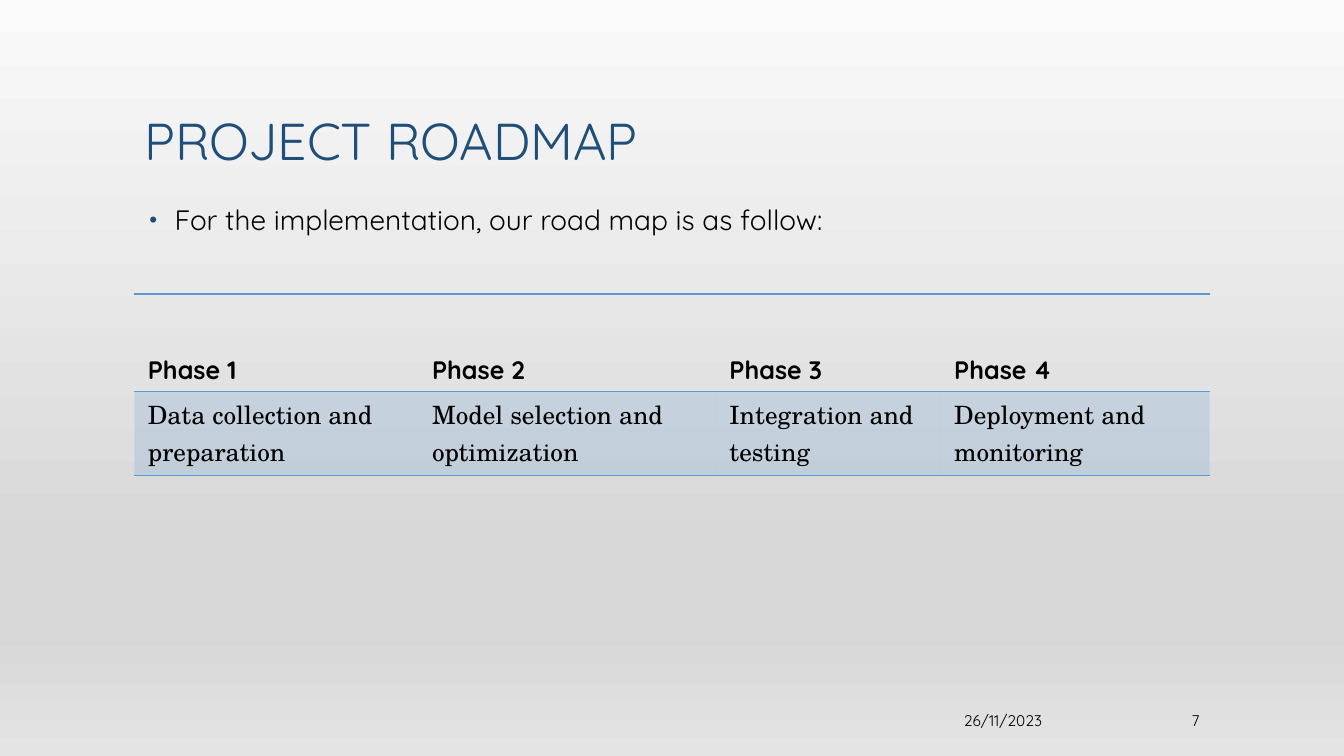
from lxml.etree import SubElement
from pptx import Presentation
from pptx.dml.color import RGBColor
from pptx.enum.text import MSO_ANCHOR, PP_ALIGN
from pptx.oxml.ns import qn
from pptx.util import Pt

NAVY, BLUE, BLACK = "1F4E79", "5B9BD5", "000000"
LEFT, WIDTH = 96, 768
PHASES = [
    ("Phase 1", "Data collection and preparation", 203),
    ("Phase 2", "Model selection and optimization", 212.5),
    ("Phase 3", "Integration and testing", 160.5),
    ("Phase 4", "Deployment and monitoring", 192),
]


def color(value):
    return RGBColor.from_string(value)


def add_color(parent, value):
    return SubElement(parent, qn("a:srgbClr"), val=str(color(value)))


class RoadmapSlide:
    """Holds the type style and the current slide, and draws its elements."""

    heading_font = "Quicksand"
    detail_font = "TeX Gyre Schola"

    def __init__(self, presentation):
        self.slide = presentation.slides.add_slide(presentation.slide_layouts[6])

    def background(self, stops):
        fill = self.slide.background.fill
        fill.gradient()
        fill.gradient_angle = 270
        stop_list = next(self.slide.element.iter(qn("a:gsLst")))
        for stop in list(stop_list):
            stop_list.remove(stop)
        for percent, value in stops:
            add_color(SubElement(stop_list, qn("a:gs"), pos=str(percent * 1000)), value)

    def fill_text(self, frame, text, size, value=BLACK, font=None, bold=False):
        frame.text = text
        frame.word_wrap = True
        paragraph = frame.paragraphs[0]
        style = paragraph.runs[0].font
        style.name = font or self.heading_font
        style.size = Pt(size)
        style.bold = bold
        style.color.rgb = color(value)
        return paragraph

    def text(self, box, text, size, value=BLACK, anchor=MSO_ANCHOR.TOP,
             align=PP_ALIGN.LEFT, spacing=1.0):
        frame = self.slide.shapes.add_textbox(*map(Pt, box)).text_frame
        paragraph = self.fill_text(frame, text, size, value)
        paragraph.alignment = align
        paragraph.line_spacing = spacing
        frame.vertical_anchor = anchor
        return paragraph

    def bullet(self, box, text, size):
        paragraph = self.text(box, text, size, spacing=0.9)
        properties = paragraph._p.get_or_add_pPr()
        properties.set("marL", str(Pt(21.6)))
        properties.set("indent", str(Pt(-18)))
        add_color(SubElement(properties, qn("a:buClr")), NAVY)
        SubElement(properties, qn("a:buSzPct"), val="80000")
        SubElement(properties, qn("a:buFont"), typeface="Arial")
        SubElement(properties, qn("a:buChar"), char="•")

    def border(self, cell):
        properties = cell._tc.get_or_add_tcPr()
        for position, side in enumerate(("lnT", "lnB")):
            line = SubElement(properties, qn(f"a:{side}"), w=str(Pt(1)))
            add_color(SubElement(line, qn("a:solidFill")), BLUE)
            properties.insert(position, line)

    def cell(self, cell, text, font, bold=False):
        self.fill_text(cell.text_frame, text, 18, font=font, bold=bold)
        cell.vertical_anchor = MSO_ANCHOR.BOTTOM
        cell.margin_left = cell.margin_right = Pt(9.6)
        cell.margin_top = cell.margin_bottom = Pt(3.6)
        self.border(cell)

    def table(self, box, phases, heights):
        table = self.slide.shapes.add_table(2, len(phases), *map(Pt, box)).table
        table.first_row = table.horz_banding = False
        style = next(table._tbl.iter(qn("a:tableStyleId")))
        style.text = "{2D5ABB26-0587-4C30-8999-92F81FD0307C}"
        for row, height in zip(table.rows, heights):
            row.height = Pt(height)
        for index, (name, detail, width) in enumerate(phases):
            table.columns[index].width = Pt(width)
            header, body = table.cell(0, index), table.cell(1, index)
            header.fill.background()
            self.cell(header, name, self.heading_font, bold=True)
            body.fill.solid()
            body.fill.fore_color.rgb = color(BLUE)
            tint = next(body._tc.iter(qn("a:srgbClr")))
            SubElement(tint, qn("a:alpha"), val="20000")
            self.cell(body, detail, self.detail_font)


presentation = Presentation()
presentation.slide_width, presentation.slide_height = Pt(960), Pt(540)

roadmap = RoadmapSlide(presentation)
roadmap.background([(0, "FAFAFA"), (74, "D7D7D7"), (83, "D7D7D7"), (100, "E4E4E4")])
roadmap.text((LEFT, 21.6, WIDTH, 104.4), "PROJECT ROADMAP", 37, NAVY,
             MSO_ANCHOR.BOTTOM, spacing=0.9)
roadmap.bullet((LEFT, 144, WIDTH, 342),
               "For the implementation, our road map is as follow:", 20)
roadmap.table((LEFT, 210, WIDTH, 130), PHASES, (69.6, 60))
for left, width, label in [(641.5, 110, "26/11/2023"), (774, 90, "7")]:
    roadmap.text((left, 507.6, width, 14.4), label, 11, anchor=MSO_ANCHOR.MIDDLE,
                 align=PP_ALIGN.RIGHT)

presentation.save("out.pptx")
